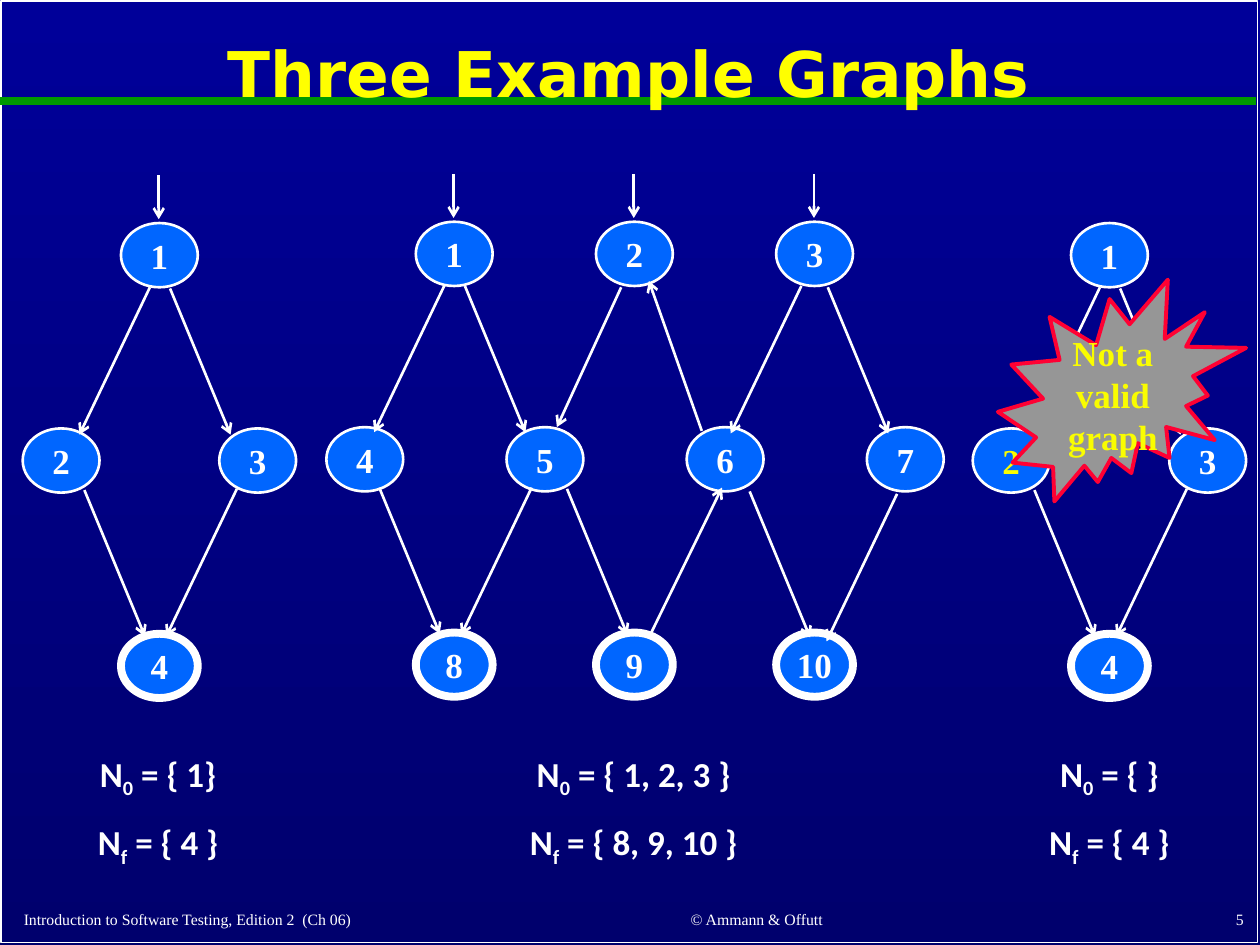
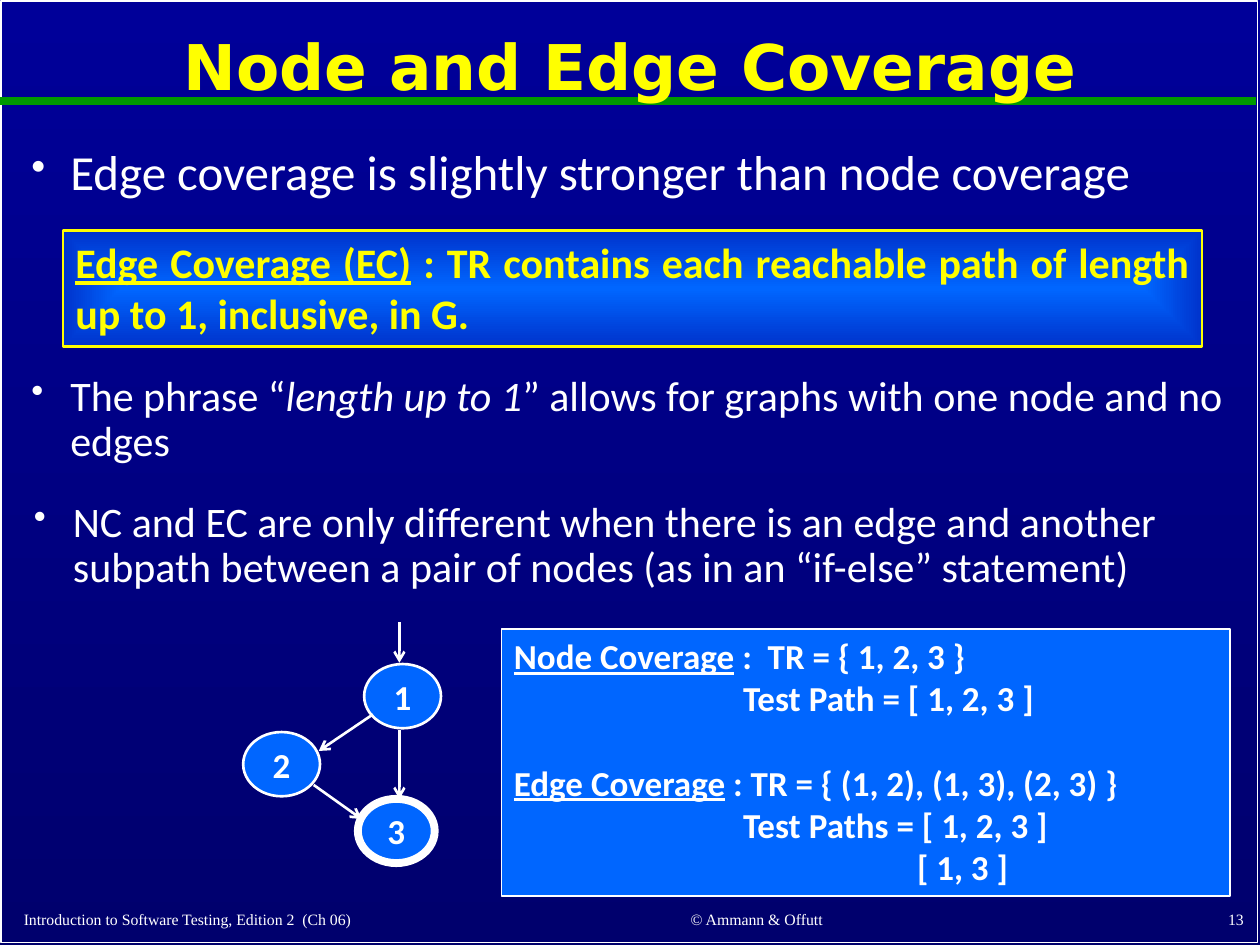
import collections

import lxml.etree
import pptx
import pptx.dml.color
import pptx.enum.shapes
import pptx.enum.text
import pptx.oxml.ns
import pptx.util

Inches = pptx.util.Inches
Pt = pptx.util.Pt
Shape = pptx.enum.shapes.MSO_SHAPE
Align = pptx.enum.text.PP_ALIGN
Anchor = pptx.enum.text.MSO_ANCHOR
qn = pptx.oxml.ns.qn

COLOURS = {
    "sky": "000099", "night": "00006D", "white": "FFFFFF", "rule": "009900",
    "yellow": "FFFF00", "lemon": "FAFD00", "node": "0066FF", "deep": "0033CC",
    "seal": "969696", "red": "FF0033",
}
SERIF, SANS, TITLE = "Times New Roman", "Calibri", "DejaVu Sans"
NODE_WIDTH, NODE_HEIGHT = 0.61, 0.51

Box = collections.namedtuple("Box", "x y w h")
Node = collections.namedtuple("Node", "label x y final colour", defaults=(False, "white"))
Edge = collections.namedtuple("Edge", "x y vector")

DOWN_LEFT, DOWN_RIGHT, ENTRY = (-0.56, 1.17), (0.48, 1.16), (0, 0.35)


def rgb(name):
    """Return the named colour."""
    return pptx.dml.color.RGBColor.from_string(COLOURS[name])


def place(box):
    """Return the four lengths of a box."""
    return [Inches(value) for value in box]


def add_xml(parent, tag, **attributes):
    """Append a drawing element and return it."""
    return lxml.etree.SubElement(parent, qn(tag), attributes)


def style(para, size, face, colour="white", bold=False, align=Align.LEFT):
    """Set the font and alignment of a paragraph."""
    para.alignment = align
    para.font.size = Pt(size)
    para.font.name = face
    para.font.bold = bold
    para.font.color.rgb = rgb(colour)


def add_span(para, text, underline=None, italic=None, subscript=False):
    """Add a run with its own emphasis."""
    span = para.add_run()
    span.text = text
    span.font.underline = underline
    span.font.italic = italic
    if subscript:
        span.font._element.set("baseline", "-25000")


def add_text(page, box, anchor=Anchor.TOP):
    """Add a wrapping text box and return its frame."""
    frame = page.shapes.add_textbox(*place(box)).text_frame
    frame.word_wrap = True
    frame.vertical_anchor = anchor
    return frame


def add_figure(shapes, kind, box, fill, line, width):
    """Add a preset shape with a plain fill and line."""
    figure = shapes.add_shape(kind, *place(box))
    figure.shadow.inherit = False
    if fill:
        figure.fill.solid()
        figure.fill.fore_color.rgb = rgb(fill)
    else:
        figure.fill.background()
    figure.line.color.rgb = rgb(line)
    figure.line.width = Pt(width)
    return figure


def add_line(shapes, start, end, colour="white", width=1.5, arrow=True):
    """Add a straight line, with an arrowhead at its end if wanted."""
    line = shapes.add_connector(
        pptx.enum.shapes.MSO_CONNECTOR.STRAIGHT, *place(start + end))
    line.line.color.rgb = rgb(colour)
    line.line.width = Pt(width)
    properties = line.element.spPr
    if arrow:
        add_xml(properties.find(qn("a:ln")), "a:tailEnd", type="arrow")
    add_xml(properties, "a:effectLst")


def set_gradient(fill, first, last):
    """Give a fill two gradient stops."""
    fill.gradient()
    for stop, position, name in zip(fill.gradient_stops, (0, 1), (first, last)):
        stop.position = position
        stop.color.rgb = rgb(name)


def draw_footer(page, number):
    """Add the three footer texts."""
    parts = (
        (Box(0.09, 7.12, 4.12, 0.3), "Introduction to Software Testing, Edition 2  (Ch 06)", Align.LEFT),
        (Box(4.42, 7.11, 3.17, 0.31), "© Ammann & Offutt", Align.CENTER),
        (Box(7.89, 7.1, 2.08, 0.32), str(number), Align.RIGHT),
    )
    for box, text, align in parts:
        para = add_text(page, box, Anchor.BOTTOM).paragraphs[0]
        add_span(para, text)
        style(para, 9, SERIF, align=align)


def start_page(deck, title, title_box, number):
    """Add a titled slide with its frame, rule and footer."""
    page = deck.slides.add_slide(deck.slide_layouts[5])
    add_figure(page.shapes, Shape.RECTANGLE, Box(0.01, 0.01, 9.97, 7.47), None, "white", 1)
    add_line(page.shapes, (0, 0.8), (9.97, 0.8), "rule", 4.5, arrow=False)
    draw_footer(page, number)
    heading = page.shapes.title
    heading.left, heading.top, heading.width, heading.height = place(title_box)
    frame = heading.text_frame
    frame.text = title
    frame.auto_size = pptx.enum.text.MSO_AUTO_SIZE.NONE
    frame.vertical_anchor = Anchor.MIDDLE
    frame.paragraphs[0].line_spacing = 0.9
    style(frame.paragraphs[0], 36, TITLE, "yellow", True, Align.CENTER)
    page.shapes.element.append(heading.element)
    return page


def draw_graph(page, box, nodes, edges, face=SERIF):
    """Draw nodes and arrows as one group, relative to the box."""
    shapes = page.shapes.add_group_shape().shapes
    for node in nodes:
        outline = Box(box.x + node.x, box.y + node.y, NODE_WIDTH, NODE_HEIGHT)
        figure = add_figure(shapes, Shape.OVAL, outline, "node", "white", 4.5 if node.final else 1.5)
        frame = figure.text_frame
        frame.word_wrap = False
        frame.vertical_anchor = Anchor.MIDDLE
        frame.text = node.label
        style(frame.paragraphs[0], 20, face, node.colour, True, Align.CENTER)
    for edge in edges:
        x, y = box.x + edge.x, box.y + edge.y
        add_line(shapes, (x, y), (x + edge.vector[0], y + edge.vector[1]))


def draw_diamond(page, box, entry=True, left_colour="white"):
    """Draw the four-node graph."""
    nodes = [
        Node("1", 0.78, 0.38), Node("3", 1.56, 2.01),
        Node("2", 0, 2.01, colour=left_colour), Node("4", 0.78, 3.64, True),
    ]
    edges = [
        Edge(1.01, 0.89, DOWN_LEFT), Edge(0.49, 2.5, DOWN_RIGHT),
        Edge(1.7, 2.49, DOWN_LEFT), Edge(1.17, 0.9, DOWN_RIGHT),
    ]
    if entry:
        edges.append(Edge(1.08, 0, ENTRY))
    draw_graph(page, box, nodes, edges)


def draw_lattice(page, box):
    """Draw the ten-node graph."""
    pitch = 1.43
    rows = (("123", 0.71, 0.38, False), ("4567", 0, 2.01, False), (("8", "9", "10"), 0.71, 3.64, True))
    nodes = [
        Node(label, left + pitch * column, top, final)
        for labels, left, top, final in rows
        for column, label in enumerate(labels)
    ]
    falling_left = ((0.94, 0.88), (1.63, 2.49), (3.77, 0.89), (4.53, 2.54))
    falling_right = ((1.1, 0.89), (0.42, 2.49), (1.91, 2.5), (3.36, 2.52), (3.98, 0.9))
    edges = [Edge(x, y, DOWN_LEFT) for x, y in falling_left]
    edges += [Edge(x, y, DOWN_RIGHT) for x, y in falling_right]
    edges += [Edge(1.01 + pitch * column, 0, ENTRY) for column in range(3)]
    edges += [
        Edge(2.57, 3.66, (0.57, -1.17)),
        Edge(2.98, 2.04, (-0.42, -1.19)),
        Edge(2.34, 0.9, (-0.51, 1.11)),
    ]
    draw_graph(page, box, nodes, edges)


def draw_node_sets(page, box, initial, final):
    """Write the initial and final node sets below a graph."""
    frame = add_text(page, box)
    for index, (letter, members) in enumerate((("0", initial), ("f", final))):
        para = frame.add_paragraph() if index else frame.paragraphs[0]
        if index:
            para.space_before = Pt(12)
        add_span(para, "N")
        add_span(para, letter, subscript=True)
        add_span(para, f" = {members}")
        style(para, 20, SANS, bold=True, align=Align.CENTER)


def draw_seal(page, box):
    """Draw the warning burst."""
    seal = add_figure(page.shapes, Shape.EXPLOSION2, box, "seal", "red", 2.25)
    frame = seal.text_frame
    frame.word_wrap = False
    frame.vertical_anchor = Anchor.MIDDLE
    frame.text = "Not a\nvalid\ngraph"
    for para in frame.paragraphs:
        style(para, 20, SERIF, "lemon", True, Align.CENTER)


def draw_bullet(page, box, size, before, emphasis="", after=""):
    """Write one bulleted paragraph."""
    para = add_text(page, box).paragraphs[0]
    add_span(para, before)
    if emphasis:
        add_span(para, emphasis, italic=True)
        add_span(para, after)
    para.line_spacing = 0.9
    properties = para._p.get_or_add_pPr()
    properties.set("marL", str(Inches(0.31)))
    properties.set("indent", str(Inches(-0.31)))
    add_xml(properties, "a:buSzPct", val="85000")
    add_xml(properties, "a:buChar", char="•")
    style(para, size, SANS)


def draw_definition(page, box):
    """Draw the framed definition of edge coverage."""
    panel = add_figure(page.shapes, Shape.RECTANGLE, box, "node", "yellow", 1.5)
    set_gradient(panel.fill, "node", "deep")
    gradient = panel.element.spPr.find(qn("a:gradFill"))
    gradient.remove(gradient.find(qn("a:lin")))
    centre = dict.fromkeys("ltrb", "50000")
    add_xml(add_xml(gradient, "a:path", path="shape"), "a:fillToRect", **centre)
    panel.text_frame.word_wrap = True
    panel.text_frame.vertical_anchor = Anchor.TOP
    para = panel.text_frame.paragraphs[0]
    add_span(para, "Edge Coverage (EC)", underline=True)
    add_span(para, " : TR contains each reachable path of length up to 1, inclusive, in G.")
    style(para, 24, SANS, "yellow", True, Align.JUSTIFY)


def draw_coverage(page, box):
    """Draw the panel that compares requirements and test paths."""
    panel = add_figure(page.shapes, Shape.RECTANGLE, box, "node", "white", 1)
    frame = panel.text_frame
    frame.word_wrap = True
    frame.vertical_anchor = Anchor.TOP
    lines = (
        ("Node Coverage", " :  TR = { 1, 2, 3 }", 0),
        ("", "\tTest Path = [ 1, 2, 3 ]", 0),
        ("Edge Coverage", " : TR = { (1, 2), (1, 3), (2, 3) }", 24),
        ("", "\tTest Paths = [ 1, 2, 3 ]", 0),
        ("", "\t\t[ 1, 3 ]", 0),
    )
    for index, (term, text, gap) in enumerate(lines):
        para = frame.add_paragraph() if index else frame.paragraphs[0]
        if term:
            add_span(para, term, underline=True)
        add_span(para, text)
        if gap:
            para.space_before = Pt(gap)
        stops = add_xml(para._p.get_or_add_pPr(), "a:tabLst")
        for position in (1.82, 3.2):
            add_xml(stops, "a:tab", pos=str(Inches(position)), algn="l")
        style(para, 20, SANS, bold=True)


def build_graphs_page(deck):
    """Build the slide with three graphs."""
    page = start_page(deck, "Three Example Graphs", Box(0.09, 0.11, 9.8, 1), 5)
    draw_diamond(page, Box(0.18, 1.39, 2.17, 4.15))
    draw_node_sets(page, Box(0.46, 5.92, 1.59, 0.93), "{ 1}", "{ 4 }")
    draw_diamond(page, Box(7.72, 1.39, 2.17, 4.15), entry=False, left_colour="lemon")
    draw_node_sets(page, Box(8.01, 5.92, 1.59, 0.93), "{ }", "{ 4 }")
    draw_lattice(page, Box(2.59, 1.38, 4.9, 4.15))
    draw_node_sets(page, Box(3.8, 5.92, 2.46, 0.93), "{ 1, 2, 3 }", "{ 8, 9, 10 }")
    draw_seal(page, Box(7.92, 2.22, 1.97, 1.76))


def build_coverage_page(deck):
    """Build the slide on node and edge coverage."""
    page = start_page(deck, "Node and Edge Coverage", Box(0.75, 0.11, 8.5, 0.9), 13)
    draw_bullet(page, Box(0.15, 1.13, 9.7, 0.52), 28, "Edge coverage is slightly stronger than node coverage")
    draw_definition(page, Box(0.5, 1.83, 9.04, 0.92))
    draw_bullet(page, Box(0.15, 2.93, 9.7, 0.83), 24, "The phrase “", "length up to 1",
                "” allows for graphs with one node and no edges")
    draw_bullet(page, Box(0.17, 3.93, 9.7, 0.83), 24,
                "NC and EC are only different when there is an edge and another subpath "
                "between a pair of nodes (as in an “if-else” statement)")
    draw_coverage(page, Box(3.98, 4.99, 5.78, 2.12))
    nodes = [Node("2", 0, 0.87), Node("3", 0.91, 1.4, True), Node("1", 0.96, 0.33)]
    edges = [
        Edge(1.03, 0.73, (-0.43, 0.29)), Edge(0.56, 1.29, (0.38, 0.27)),
        Edge(1.24, 0.85, (0, 0.55)), Edge(1.24, 0, (0, 0.32)),
    ]
    draw_graph(page, Box(1.93, 4.94, 1.57, 1.91), nodes, edges, SANS)


def main():
    """Build and save the deck."""
    deck = pptx.Presentation()
    deck.slide_width, deck.slide_height = Inches(10), Inches(7.5)
    backdrop = deck.slide_master.background.fill
    set_gradient(backdrop, "sky", "night")
    backdrop.gradient_angle = 270
    build_graphs_page(deck)
    build_coverage_page(deck)
    deck.save("out.pptx")


if __name__ == "__main__":
    main()
